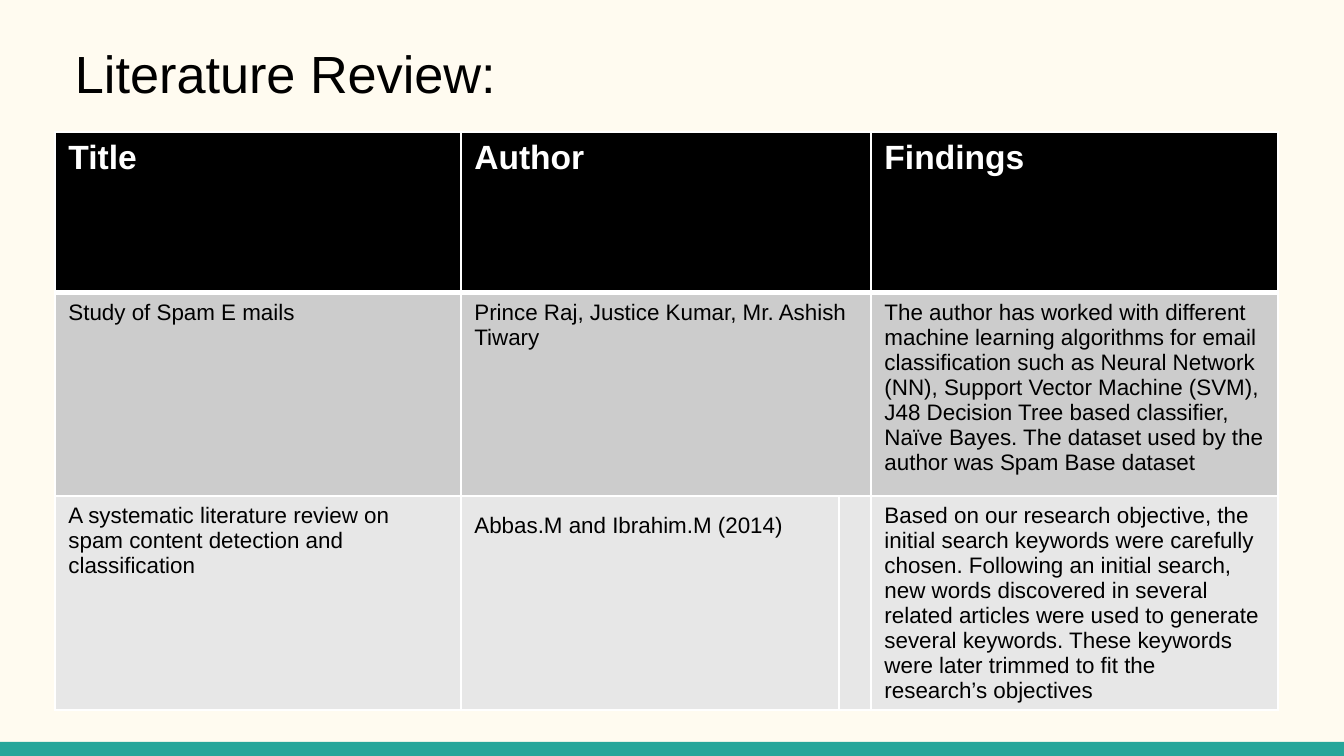
from lxml.etree import SubElement
from pptx import Presentation
from pptx.dml.color import RGBColor
from pptx.enum.shapes import MSO_SHAPE
from pptx.enum.text import MSO_ANCHOR, MSO_AUTO_SIZE, PP_ALIGN
from pptx.oxml.ns import qn
from pptx.util import Emu, Pt

EMU_PER_PX = 914400 / 134.4
SLIDE_WIDTH, SLIDE_HEIGHT = 1344, 756
FONT = "Arial"

CREAM = RGBColor(0xFF, 0xFB, 0xF0)
TEAL = RGBColor(0x26, 0xA6, 0x9A)
BLACK = RGBColor(0x00, 0x00, 0x00)
WHITE = RGBColor(0xFF, 0xFF, 0xFF)
MID_GRAY = RGBColor(0xCC, 0xCC, 0xCC)
LIGHT_GRAY = RGBColor(0xE7, 0xE7, 0xE7)

COLUMN_WIDTHS = [406, 378, 31, 407]
ROW_HEIGHTS = [161, 203, 214]
ROW_FILLS = [BLACK, MID_GRAY, LIGHT_GRAY]
THIN, THICK = Pt(1), Pt(3)

# The narrow third column joins the author column in the first two rows
ROWS = [
    ["Title", "Author", "", "Findings"],
    [
        "Study of Spam E mails",
        "Prince Raj, Justice Kumar, Mr. Ashish Tiwary",
        "",
        "The author has worked with different machine learning algorithms for "
        "email classification such as Neural Network (NN), Support Vector "
        "Machine (SVM), J48 Decision Tree based classifier, Naïve Bayes. The "
        "dataset used by the author was Spam Base dataset",
    ],
    [
        "A systematic literature review on spam content detection and "
        "classification",
        "Abbas.M and Ibrahim.M (2014)",
        "",
        "Based on our research objective, the initial search keywords were "
        "carefully chosen. Following an initial search, new words discovered "
        "in several related articles were used to generate several keywords. "
        "These keywords were later trimmed to fit the research’s objectives",
    ],
]


def px(length):
    return Emu(round(length * EMU_PER_PX))


def place(shape, left, top, width, height):
    shape.left, shape.top = px(left), px(top)
    shape.width, shape.height = px(width), px(height)


def format_runs(paragraph, size, color, bold=False):
    for run in paragraph.runs:
        run.font.name = FONT
        run.font.size = Pt(size)
        run.font.bold = bold
        run.font.color.rgb = color


def add_bottom_bar(slide):
    bar = slide.shapes.add_shape(
        MSO_SHAPE.RECTANGLE, 0, px(742), px(SLIDE_WIDTH), px(14))
    bar.shadow.inherit = False
    bar.fill.solid()
    bar.fill.fore_color.rgb = TEAL
    bar.line.fill.background()


def fill_title(slide, text):
    title = slide.shapes.title
    place(title, 75, 22, 1194, 109)
    frame = title.text_frame
    frame.text = text
    frame.auto_size = MSO_AUTO_SIZE.NONE
    frame.vertical_anchor = MSO_ANCHOR.MIDDLE
    frame.margin_left = frame.margin_right = 0
    frame.margin_top = frame.margin_bottom = 0
    paragraph = frame.paragraphs[0]
    paragraph.alignment = PP_ALIGN.LEFT
    paragraph.line_spacing = 0.9
    format_runs(paragraph, 28, BLACK)


def set_borders(cell, top, bottom):
    properties = cell._tc.get_or_add_tcPr()
    sides = {"a:lnL": THIN, "a:lnR": THIN, "a:lnT": top, "a:lnB": bottom}
    for tag, width in sides.items():
        line = SubElement(properties, qn(tag), w=str(width))
        fill = SubElement(line, qn("a:solidFill"))
        SubElement(fill, qn("a:srgbClr"), val=str(WHITE))


def style_cell(cell, row, text):
    is_header = row == 0
    set_borders(cell, THICK if row == 1 else THIN, THICK if is_header else THIN)
    cell.fill.solid()
    cell.fill.fore_color.rgb = ROW_FILLS[row]
    cell.text_frame.text = text
    format_runs(cell.text_frame.paragraphs[0], 18 if is_header else 12,
                WHITE if is_header else BLACK, is_header)


def add_review_table(slide):
    frame = slide.shapes.add_table(
        len(ROWS), len(COLUMN_WIDTHS), px(55), px(132),
        px(sum(COLUMN_WIDTHS)), px(sum(ROW_HEIGHTS)))
    table = frame.table
    for column, width in zip(table.columns, COLUMN_WIDTHS):
        column.width = px(width)
    for row, height in zip(table.rows, ROW_HEIGHTS):
        row.height = px(height)
    for row in (0, 1):
        table.cell(row, 1).merge(table.cell(row, 2))
    for row, texts in enumerate(ROWS):
        for column, text in enumerate(texts):
            cell = table.cell(row, column)
            if not cell.is_spanned:
                style_cell(cell, row, text)

    # A larger closing space makes the last author line taller
    space = table.cell(2, 1).text_frame.paragraphs[0].add_run()
    space.text = " "
    space.font.name = FONT
    space.font.size = Pt(18)


def main():
    presentation = Presentation()
    presentation.slide_width = px(SLIDE_WIDTH)
    presentation.slide_height = px(SLIDE_HEIGHT)
    slide = presentation.slides.add_slide(presentation.slide_layouts[5])
    slide.background.fill.solid()
    slide.background.fill.fore_color.rgb = CREAM

    add_bottom_bar(slide)
    fill_title(slide, "Literature Review:")
    add_review_table(slide)
    presentation.save("out.pptx")


if __name__ == "__main__":
    main()
